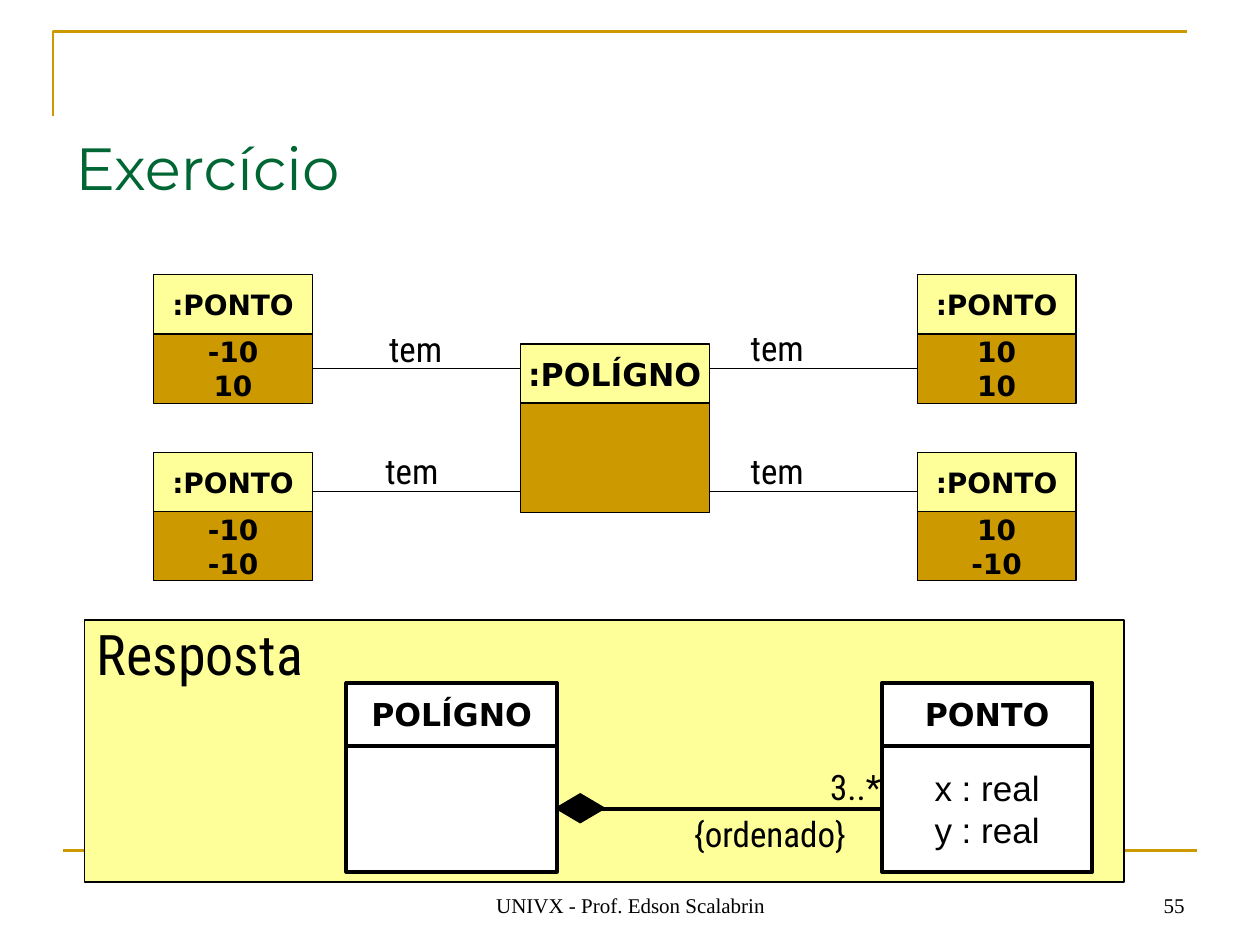
from dataclasses import dataclass
from typing import Any

from lxml.etree import SubElement
from pptx import Presentation
from pptx.dml.color import RGBColor
from pptx.enum.shapes import MSO_CONNECTOR as Line, MSO_SHAPE as Shape
from pptx.enum.text import MSO_ANCHOR as Anchor, PP_ALIGN as Align
from pptx.oxml.ns import qn
from pptx.util import Inches, Pt

TOP, LEFT, BOTTOM, RIGHT = range(4)


def color(value):
    return RGBColor.from_string(value)


def write(frame, text, font="Roboto Condensed", size=20, ink="000000", bold=False,
          align=Align.LEFT, anchor=Anchor.TOP, inset=0.05, wrap=False):
    frame.word_wrap = wrap
    frame.vertical_anchor = anchor
    frame.margin_top = Inches(inset)
    for index, words in enumerate(text.split("\n")):
        paragraph = frame.paragraphs[0] if index == 0 else frame.add_paragraph()
        paragraph.alignment = align
        run = paragraph.add_run()
        run.text = words
        run.font.name = font
        run.font.size = Pt(size)
        run.font.bold = bold
        run.font.color.rgb = color(ink)


@dataclass
class Diagram:
    slide: Any
    black: str = "000000"
    white: str = "FFFFFF"
    yellow: str = "FFFF99"
    gold: str = "CC9900"
    green: str = "006633"
    heading: str = "DejaVu Sans"
    thin: float = 0.75
    thick: float = 2.25

    def label(self, text, left, top, width, height, **style):
        box = self.slide.shapes.add_textbox(*map(Inches, (left, top, width, height)))
        write(box.text_frame, text, **style)

    def block(self, left, top, width, height, fill, weight=None, kind=Shape.RECTANGLE,
              text="", **style):
        shape = self.slide.shapes.add_shape(kind, *map(Inches, (left, top, width, height)))
        shape.shadow.inherit = False
        shape.fill.solid()
        shape.fill.fore_color.rgb = color(fill)
        shape.line.color.rgb = color(self.black)
        shape.line.width = Pt(weight or self.thin)
        if text:
            write(shape.text_frame, text, **style)
        return shape

    def uml_box(self, left, top, width, name_height, body_height, name, body="", name_size=18,
                fills=None, weight=None, **body_style):
        name_fill, body_fill = fills or (self.yellow, self.gold)
        centred = dict(align=Align.CENTER, anchor=Anchor.MIDDLE)
        lower = self.block(left, top + name_height, width, body_height, body_fill, weight,
                           text=body, **centred, **body_style)
        self.block(left, top, width, name_height, name_fill, weight, text=name,
                   font=self.heading, size=name_size, bold=True, **centred)
        return lower

    def line(self, start, end, ink=None, weight=None, begin=None, finish=None):
        connector = self.slide.shapes.add_connector(
            Line.STRAIGHT, *map(Inches, (*start, *end)))
        connector.line.color.rgb = color(ink or self.black)
        connector.line.width = Pt(weight or self.thin)
        SubElement(connector._element.spPr, qn("a:effectLst"))
        if begin:
            connector.begin_connect(*begin)
        if finish:
            connector.end_connect(*finish)

    def corner(self, points, weight):
        first, *rest = [tuple(map(Inches, point)) for point in points]
        builder = self.slide.shapes.build_freeform(*first)
        builder.add_line_segments(rest, close=False)
        outline = builder.convert_to_shape()
        outline.shadow.inherit = False
        outline.fill.background()
        outline.line.color.rgb = color(self.gold)
        outline.line.width = Pt(weight)


def add_frame(diagram):
    diagram.corner([(0.42, 0.92), (0.42, 0.25), (9.42, 0.25)], 1.5)
    diagram.line((0.5, 6.75), (9.5, 6.75), diagram.gold, 1.5)
    footer = dict(font="Times New Roman", size=12, anchor=Anchor.BOTTOM, wrap=True)
    diagram.label("UNIVX - Prof. Edson Scalabrin", 3.42, 6.83, 3.17, 0.5,
                  align=Align.CENTER, **footer)
    diagram.label("55", 7.17, 6.83, 2.33, 0.5, align=Align.RIGHT, **footer)
    diagram.label("Exercício", 0.5, 0.99, 9, 0.56, font="Montserrat", size=34,
                  ink=diagram.green, wrap=True)


def add_objects(diagram):
    width, name_height, body_height = 1.26, 0.47, 0.55
    left_column, right_column = 1.22, 7.28
    polygon_left, polygon_right = 4.13, 5.63
    upper_row, lower_row = 2.18, 3.59
    lower_link = 3.9
    points = {}
    for column, row, values in [
        (left_column, upper_row, "-10\n10"), (right_column, upper_row, "10\n10"),
        (left_column, lower_row, "-10\n-10"), (right_column, lower_row, "10\n-10"),
    ]:
        points[column, row] = diagram.uml_box(
            column, row, width, name_height, body_height, ":PONTO", values, name_size=16,
            font=diagram.heading, size=16, bold=True)

    upper_link = upper_row + name_height + body_height / 2
    for column, side, edge, polygon_edge in [
        (left_column, RIGHT, left_column + width, polygon_left),
        (right_column, LEFT, right_column, polygon_right),
    ]:
        diagram.line((edge, upper_link), (polygon_edge, upper_link),
                     begin=(points[column, upper_row], side))
        diagram.line((edge, lower_link), (polygon_edge, lower_link))
    diagram.uml_box(polygon_left, 2.73, polygon_right - polygon_left, name_height, 0.87,
                    ":POLÍGNO")
    for left, top in [(2.99, 2.55), (2.96, 3.52), (5.86, 3.52), (5.86, 2.54)]:
        diagram.label("tem", left, top, 0.72, 0.44)


def add_answer(diagram):
    diagram.block(0.67, 4.92, 8.25, 2.08, diagram.yellow, text="Resposta", size=32, inset=0,
                  wrap=True)
    polygon, point = [
        diagram.uml_box(left, 5.42, 1.67, 0.5, 1, name, fields, weight=diagram.thick,
                        fills=(diagram.white, diagram.white), font="Arial")
        for left, name, fields in [(2.75, "POLÍGNO", ""), (7, "PONTO", "x : real\ny : real")]
    ]
    diagram.line((4.42, 6.42), (7, 6.42), weight=diagram.thick,
                 begin=(polygon, RIGHT), finish=(point, LEFT))
    diagram.label("3..*", 6.49, 6.03, 0.66, 0.44)
    diagram.label("{ordenado}", 5.41, 6.4, 1.69, 0.44)
    diagram.block(4.41, 6.3, 0.39, 0.23, diagram.black, kind=Shape.DIAMOND)


def main():
    deck = Presentation()
    deck.slide_width, deck.slide_height = Inches(10), Inches(7.5)
    diagram = Diagram(deck.slides.add_slide(deck.slide_layouts[6]))
    add_frame(diagram)
    add_objects(diagram)
    add_answer(diagram)
    deck.save("out.pptx")


if __name__ == "__main__":
    main()
